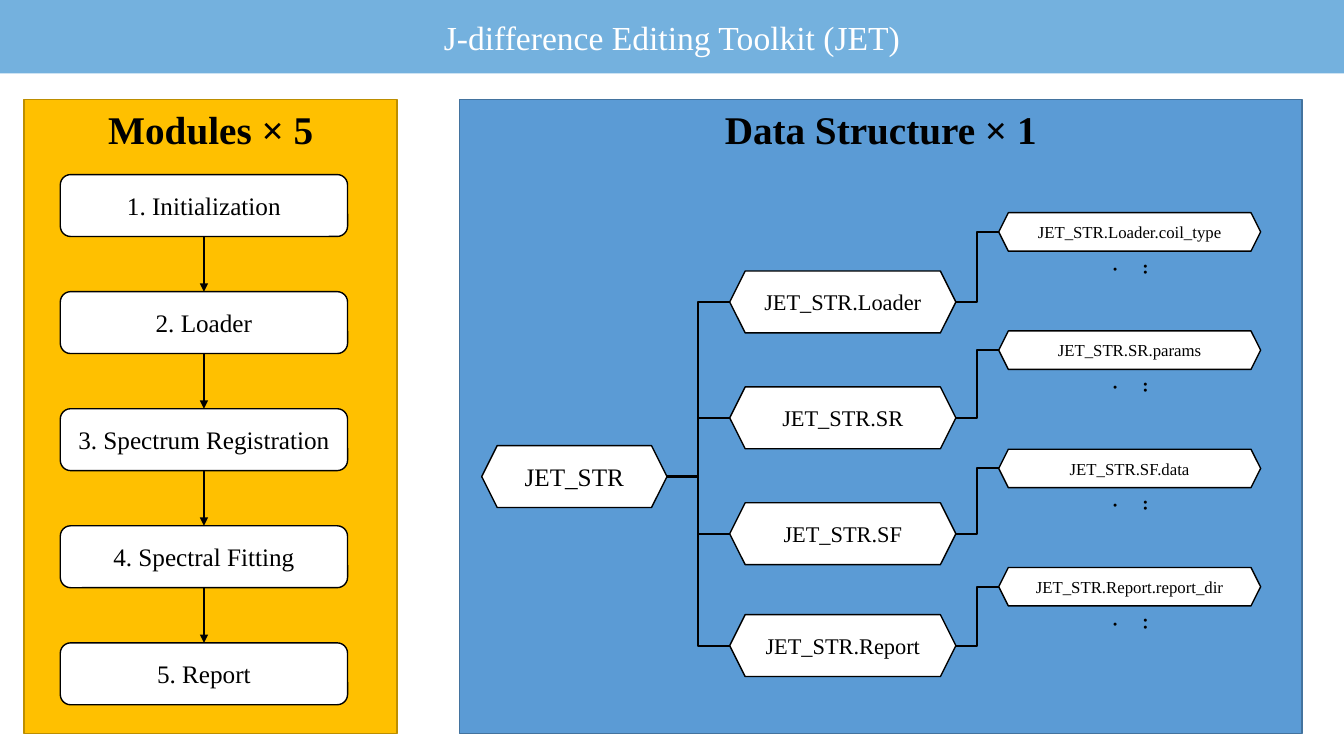
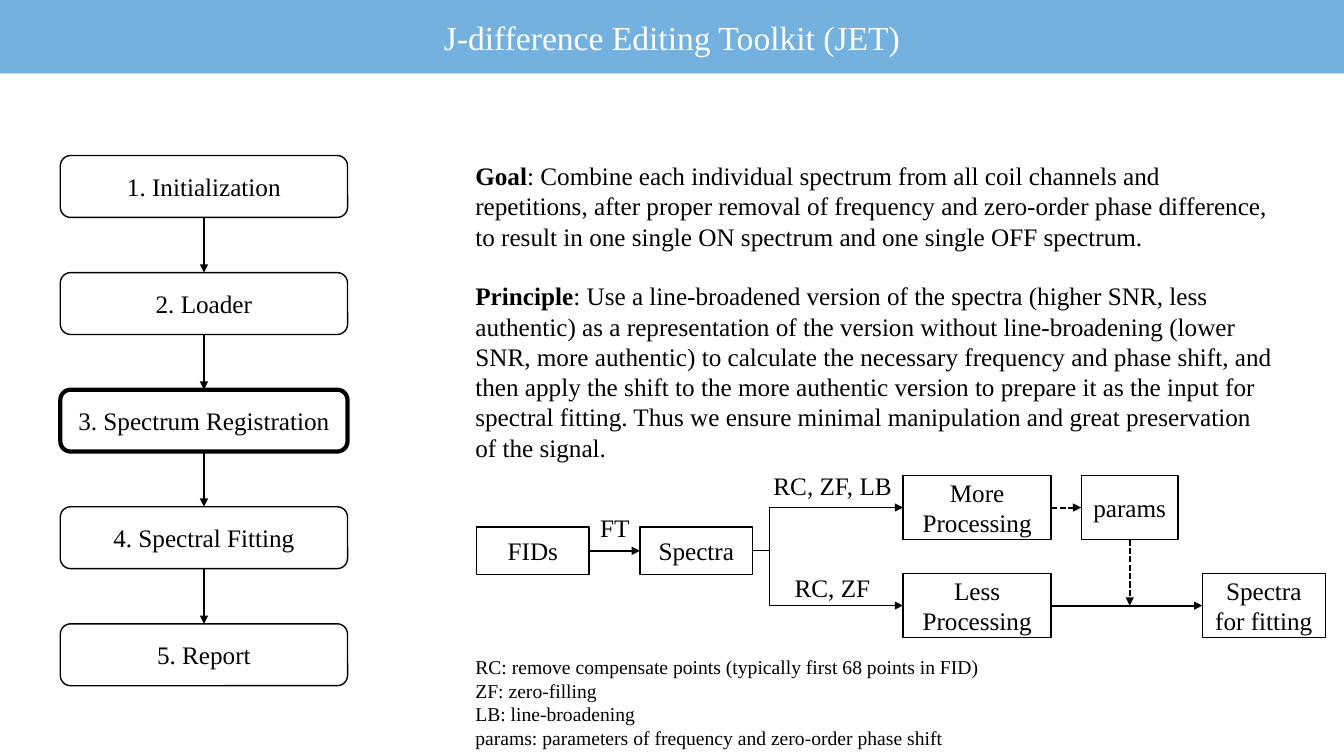
"""Build two slides on the modules and data structure of a toolkit."""
from lxml.etree import SubElement
from pptx import Presentation
from pptx.dml.color import RGBColor
from pptx.enum.dml import MSO_LINE as Dash
from pptx.enum.shapes import MSO_CONNECTOR as Wire, MSO_SHAPE as Kind
from pptx.enum.text import MSO_ANCHOR as Anchor, PP_ALIGN as Align
from pptx.oxml.ns import qn
from pptx.util import Cm, Pt

WIDE, HIGH = 33.87, 19.05
FONT = "Times New Roman"
BLACK, WHITE, BAND = "000000", "FFFFFF", "74B1DE"
TITLE = "J-difference Editing Toolkit (JET)"

STEPS = ["1. Initialization", "2. Loader", "3. Spectrum Registration",
         "4. Spectral Fitting", "5. Report"]
PANELS = [
    ((11.58, 2.51, 21.23, 15.98), "5B9BD5", "43739E", "Data Structure × 1"),
    ((0.61, 2.51, 9.4, 15.98), "FFC000", "BD8E00", "Modules × 5"),
]
ROOT = "JET_STR"
FIELDS = [
    (6.83, "JET_STR.Loader", "JET_STR.Loader.coil_type"),
    (9.75, "JET_STR.SR", "JET_STR.SR.params"),
    (12.67, "JET_STR.SF", "JET_STR.SF.data"),
    (15.49, "JET_STR.Report", "JET_STR.Report.report_dir"),
]
PROSE = [
    ("Goal", ": Combine each individual spectrum from all coil channels and "
     "repetitions, after proper removal of frequency and zero-order phase "
     "difference, to result in one single ON spectrum and one single OFF "
     "spectrum."),
    ("Principle", ": Use a line-broadened version of the spectra (higher SNR, "
     "less authentic) as a representation of the version without "
     "line-broadening (lower SNR, more authentic) to calculate the necessary "
     "frequency and phase shift, and then apply the shift to the more "
     "authentic version to prepare it as the input for spectral fitting. Thus "
     "we ensure minimal manipulation and great preservation of the signal."),
]
FLOW = {
    "fids": ((12.01, 13.28, 2.84, 1.2), "FIDs"),
    "spectra": ((16.13, 13.28, 2.84, 1.2), "Spectra"),
    "more": ((22.76, 11.99, 3.73, 1.6), "More Processing"),
    "less": ((22.76, 14.46, 3.73, 1.6), "Less Processing"),
    "params": ((27.25, 11.99, 2.44, 1.6), "params"),
    "fit": ((30.3, 14.46, 3.1, 1.6), "Spectra\nfor fitting"),
}
LABELS = [
    ((14.81, 12.78, 1.37, 1.02), "FT"),
    ((18.85, 11.73, 4.27, 1.02), "RC, ZF, LB"),
    ((19.66, 14.3, 2.64, 1.02), "RC, ZF"),
]
NOTES = """RC: remove compensate points (typically first 68 points in FID)
ZF: zero-filling
LB: line-broadening
params: parameters of frequency and zero-order phase shift"""


def ink(code):
    return RGBColor.from_string(code)


def style(frame, size, color=BLACK, bold=False, align=Align.CENTER,
          anchor=Anchor.MIDDLE, font=FONT):
    frame.word_wrap = True
    frame.vertical_anchor = anchor
    for para in frame.paragraphs:
        para.alignment = align
        for run in para.runs:
            run.font.name, run.font.size = font, Pt(size)
            run.font.bold, run.font.color.rgb = bold, ink(color)


def text(slide, box, words, size=18, **look):
    area = slide.shapes.add_textbox(*map(Cm, box))
    area.text_frame.text = words
    style(area.text_frame, size, **look)
    return area


def node(slide, kind, box, words="", size=18, fill=WHITE, edge=BLACK, width=1):
    shape = slide.shapes.add_shape(kind, *map(Cm, box))
    shape.shadow.inherit = False
    shape.fill.solid()
    shape.fill.fore_color.rgb = ink(fill)
    shape.line.color.rgb = ink(edge)
    shape.line.width = Pt(width)
    if words:
        shape.text_frame.text = words
        style(shape.text_frame, size)
    return shape


def side(shape, spot):
    """Return the middle of a side: 0 top, 1 left, 2 bottom, 3 right."""
    across, down = [(0.5, 0), (0, 0.5), (0.5, 1), (1, 0.5)][spot]
    return (int(shape.left + across * shape.width),
            int(shape.top + down * shape.height))


def wire(slide, start, end, kind=Wire.STRAIGHT, width=1.5, head=True,
         dash=False, bend=None):
    line = slide.shapes.add_connector(kind, *start, *end)
    line.line.color.rgb = ink(BLACK)
    line.line.width = Pt(width)
    if dash:
        line.line.dash_style = Dash.SQUARE_DOT
    props = line.element.spPr
    if head:
        SubElement(props.find(qn("a:ln")), qn("a:tailEnd"), type="triangle")
    if bend:
        values = props.find(qn("a:prstGeom")).find(qn("a:avLst"))
        SubElement(values, qn("a:gd"), name="adj1", fmla=f"val {bend}")
    SubElement(props, qn("a:effectLst"))
    return line


def link(slide, one, out, two, into, **look):
    line = wire(slide, side(one, out), side(two, into), **look)
    line.begin_connect(one, out)
    line.end_connect(two, into)


def elbow(slide, one, two, **look):
    wire(slide, side(one, 3), side(two, 1), Wire.ELBOW, **look)


def start(deck):
    slide = deck.slides.add_slide(deck.slide_layouts[5])
    title = slide.shapes.title
    title.left, title.top, title.width, title.height = map(
        Cm, (0, 0, WIDE, 1.85))
    title.fill.solid()
    title.fill.fore_color.rgb = ink(BAND)
    title.text_frame.text = TITLE
    style(title.text_frame, 24, WHITE)
    return slide


def chain(slide, top, active=None):
    boxes = [node(slide, Kind.ROUNDED_RECTANGLE,
                  (1.52, top + 2.95 * i, 7.24, 1.56), step,
                  width=3 if i == active else 1)
             for i, step in enumerate(STEPS)]
    for one, two in zip(boxes, boxes[1:]):
        link(slide, one, 2, two, 0)


def overview(deck):
    slide = start(deck)
    for box, fill, edge, head in PANELS:
        node(slide, Kind.RECTANGLE, box, fill=fill, edge=edge)
        text(slide, (box[0], 2.77, box[2], 0.94), head, 28, bold=True)
    chain(slide, 4.4)
    root = node(slide, Kind.HEXAGON, (12.14, 11.23, 4.67, 1.56), ROOT)
    for i, (top, field, leaf) in enumerate(FIELDS):
        low = 5.36 + 2.98 * i
        mid = node(slide, Kind.HEXAGON, (18.39, top, 5.7, 1.56), field, 16)
        tip = node(slide, Kind.HEXAGON, (25.17, low, 6.6, 0.97), leaf, 12)
        elbow(slide, root, mid, head=False)
        elbow(slide, mid, tip, head=False)
        dots = text(slide, (28.17, low + 1.02, 1.07, 0.97), "...",
                    font="Calibri")
        dots.text_frame._txBody.bodyPr.set("vert", "eaVert")


def detail(deck):
    slide = start(deck)
    chain(slide, 3.92, active=2)
    frame = text(slide, (11.73, 3.92, 20.73, 8.08), "").text_frame
    for i, (lead, rest) in enumerate(PROSE):
        para = frame.add_paragraph() if i else frame.paragraphs[0]
        para.space_before = Pt(21 if i else 0)
        for part in (lead, rest):
            para.add_run().text = part
    style(frame, 18, align=Align.LEFT, anchor=Anchor.TOP)
    for para in frame.paragraphs:
        para.runs[0].font.bold = True

    flow = {name: node(slide, Kind.RECTANGLE, box, words)
            for name, (box, words) in FLOW.items()}
    link(slide, flow["fids"], 3, flow["spectra"], 1)
    for name in ("more", "less"):
        elbow(slide, flow["spectra"], flow[name], width=1, bend=11000)
    link(slide, flow["more"], 3, flow["params"], 1, dash=True)
    link(slide, flow["less"], 3, flow["fit"], 1)
    drop = side(flow["params"], 2)
    shift = wire(slide, drop, (drop[0], side(flow["less"], 3)[1]), dash=True)
    shift.begin_connect(flow["params"], 2)
    for box, words in LABELS:
        text(slide, box, words, anchor=Anchor.TOP)
    text(slide, (11.73, 16.38, 16.94, 2.64), NOTES, 14, align=Align.LEFT,
         anchor=Anchor.TOP)


def main():
    deck = Presentation()
    deck.slide_width, deck.slide_height = Cm(WIDE), Cm(HIGH)
    overview(deck)
    detail(deck)
    deck.save("out.pptx")


if __name__ == "__main__":
    main()
